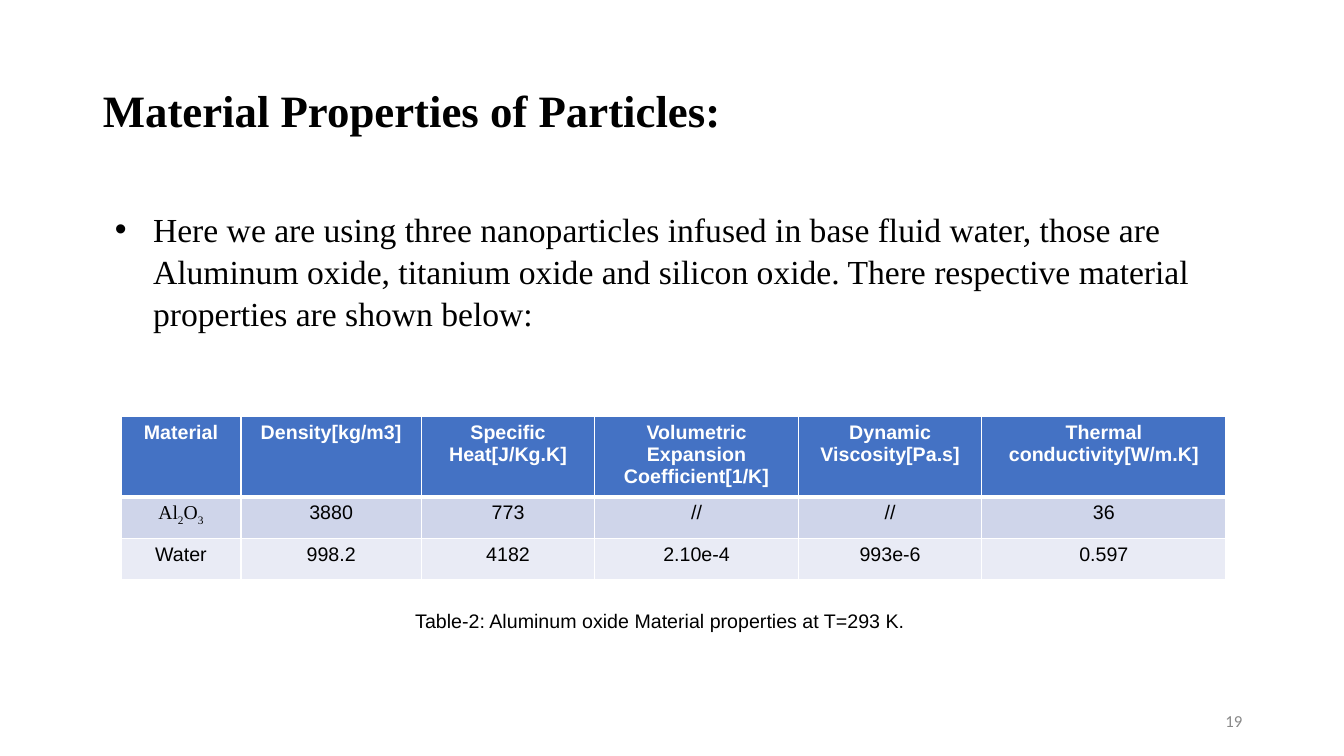
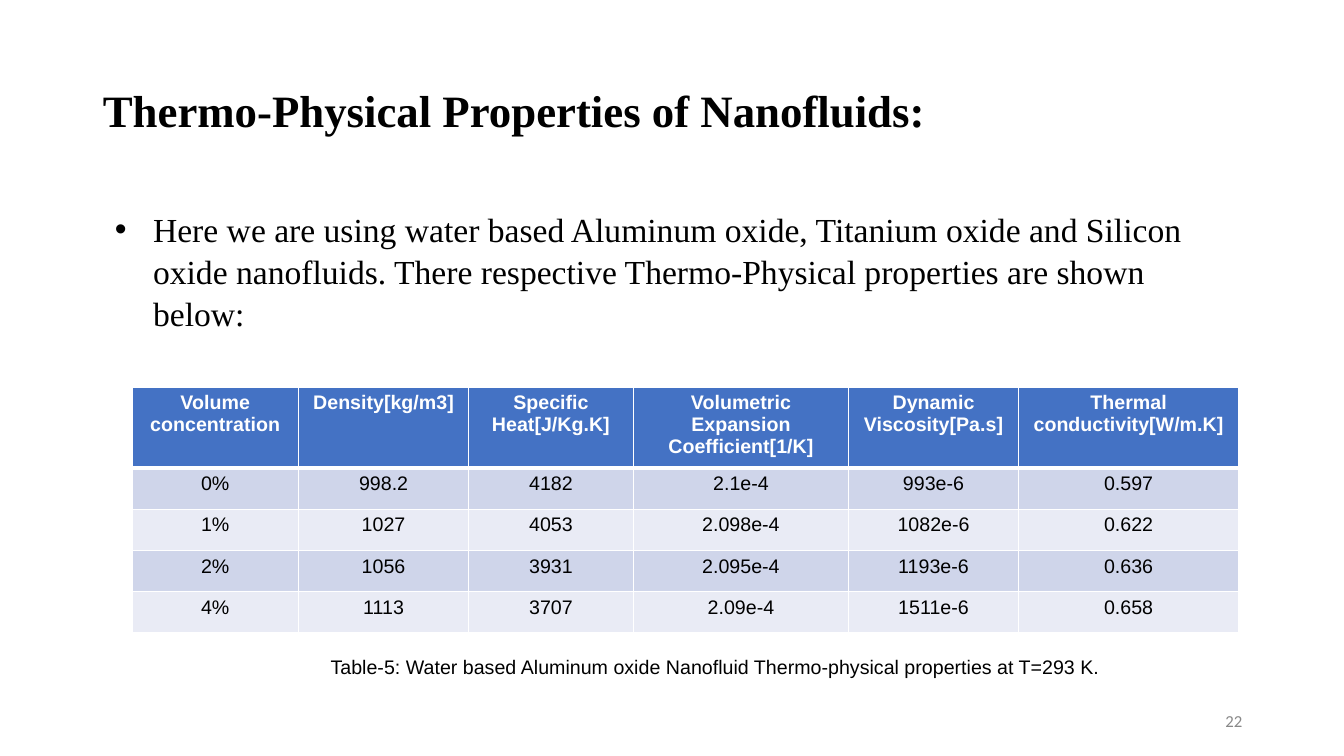
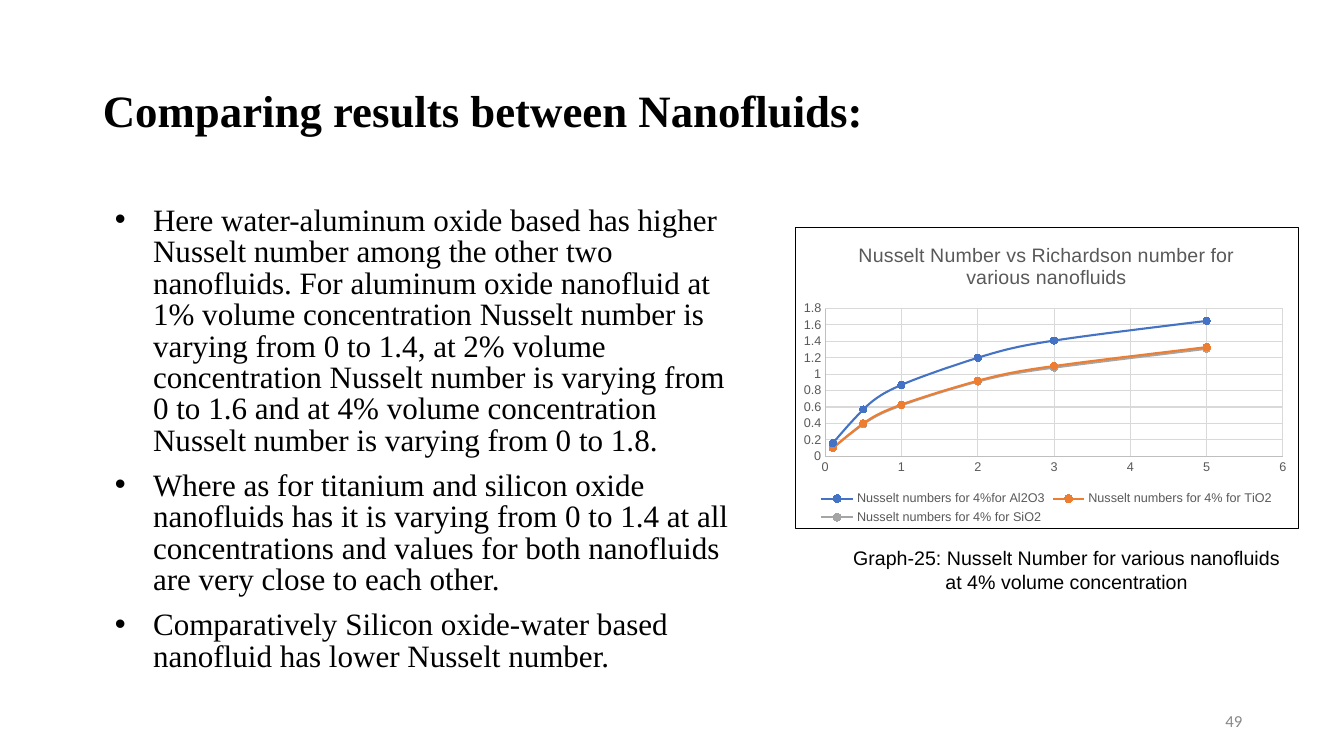
from lxml.etree import SubElement
from pptx import Presentation
from pptx.chart.data import XyChartData
from pptx.dml.color import RGBColor
from pptx.enum.chart import XL_CHART_TYPE, XL_LEGEND_POSITION, XL_MARKER_STYLE, XL_TICK_MARK
from pptx.enum.text import MSO_ANCHOR, MSO_AUTO_SIZE, PP_ALIGN
from pptx.oxml import parse_xml
from pptx.oxml.ns import nsdecls, qn
from pptx.util import Inches, Pt

SERIF, SANS = "Times New Roman", "Arial"
BLACK, WHITE, GRAY = "000000", "FFFFFF", "595959"
BLUE, ORANGE, SILVER = "4472C4", "ED7D31", "A5A5A5"
BANDS = ["CFD5EA", "E9EBF5"]

TITLE = {"name": SERIF, "size": Pt(32), "bold": True, "color": BLACK}
BODY = {"name": SERIF, "size": Pt(24), "color": BLACK}
CAPTION = {"name": SANS, "size": Pt(14), "color": BLACK}
HEADER = {**CAPTION, "bold": True, "color": WHITE}
FORMULA = {**CAPTION, "name": SERIF}
NUMBER = {"name": "Calibri", "size": Pt(12), "color": "888888"}
AXIS = {"name": SANS, "size": Pt(9), "color": GRAY}
CHART_TITLE = {"name": SANS, "size": Pt(14), "bold": False, "color": GRAY}

PROPERTIES = ["Density[kg/m3]", "Specific Heat[J/Kg.K]",
              "Volumetric Expansion Coefficient[1/K]",
              "Dynamic Viscosity[Pa.s]", "Thermal conductivity[W/m.K]"]


def rgb(value):
    return RGBColor.from_string(value)


def apply(target, values):
    for name, value in values.items():
        if name == "color":
            target.color.rgb = rgb(value)
        else:
            setattr(target, name, value)


def draw_line(line, color, width):
    line.color.rgb = rgb(color)
    line.width = Pt(width)


def add_bullet(paragraph):
    properties = paragraph._p.get_or_add_pPr()
    properties.set("marL", str(Inches(0.5)))
    properties.set("indent", str(Inches(-0.38)))
    color = SubElement(properties, qn("a:buClr"))
    SubElement(color, qn("a:srgbClr"), val=BLACK)
    SubElement(properties, qn("a:buFont"), typeface=SANS)
    SubElement(properties, qn("a:buChar"), char="•")


def set_borders(cell, widths):
    properties = cell._tc.get_or_add_tcPr()
    for index, (side, width) in enumerate(widths.items()):
        border = parse_xml(
            f'<a:ln{side} {nsdecls("a")} w="{Pt(width)}"><a:solidFill>'
            f'<a:srgbClr val="{WHITE}"/></a:solidFill></a:ln{side}>')
        properties.insert(index, border)


class Deck:
    def __init__(self):
        self.presentation = Presentation()
        self.presentation.slide_width = Inches(13.33)
        self.presentation.slide_height = Inches(7.5)
        self.slide = None

    def start(self, title, number):
        layout = self.presentation.slide_layouts[5]
        self.slide = self.presentation.slides.add_slide(layout)
        shape = self.slide.shapes.title
        apply(shape, {"left": Inches(0.92), "top": Inches(0.4),
                      "width": Inches(11.5), "height": Inches(1.45)})
        apply(shape.text_frame, {"word_wrap": True, "auto_size": MSO_AUTO_SIZE.NONE,
                                 "vertical_anchor": MSO_ANCHOR.MIDDLE})
        paragraph = shape.text_frame.paragraphs[0]
        apply(paragraph, {"alignment": PP_ALIGN.LEFT, "line_spacing": 0.9})
        self.styled_run(paragraph, title, TITLE)
        self.text([number], (9.42, 6.95, 3, 0.4), NUMBER, PP_ALIGN.RIGHT, MSO_ANCHOR.MIDDLE)

    def styled_run(self, paragraph, text, style):
        run = paragraph.add_run()
        run.text = text
        apply(run.font, style)
        return run

    def text(self, texts, box, style, alignment=PP_ALIGN.LEFT, anchor=MSO_ANCHOR.TOP):
        shape = self.slide.shapes.add_textbox(*map(Inches, box))
        frame = shape.text_frame
        apply(frame, {"word_wrap": True, "vertical_anchor": anchor})
        for index, text in enumerate(texts):
            paragraph = frame.paragraphs[0] if index == 0 else frame.add_paragraph()
            paragraph.alignment = alignment
            self.styled_run(paragraph, text, style)
        return frame

    def bullets(self, texts, width=11.5, size=24, spacing=1.05):
        frame = self.text(texts, (0.92, 2, width, 4.76), {**BODY, "size": Pt(size)})
        for index, paragraph in enumerate(frame.paragraphs):
            add_bullet(paragraph)
            apply(paragraph, {"line_spacing": spacing, "space_before": Pt(10 if index else 0)})

    def table(self, rows, left, top, widths):
        frame = self.slide.shapes.add_table(
            len(rows), len(widths), Inches(left), Inches(top), Inches(sum(widths)),
            Inches(0.75 + 0.41 * (len(rows) - 1)))
        table = frame.table
        for column, width in zip(table.columns, widths):
            column.width = Inches(width)
        for row_index, values in enumerate(rows):
            table.rows[row_index].height = Inches(0.41 if row_index else 0.75)
            for column_index, value in enumerate(values):
                self.cell(table.cell(row_index, column_index), value, row_index)

    def cell(self, cell, value, row_index):
        cell.fill.solid()
        cell.fill.fore_color.rgb = rgb(BANDS[(row_index - 1) % 2] if row_index else BLUE)
        set_borders(cell, {"L": 1, "R": 1, "T": 3 if row_index == 1 else 1,
                           "B": 1 if row_index else 3})
        paragraph = cell.text_frame.paragraphs[0]
        paragraph.alignment = PP_ALIGN.CENTER
        if isinstance(value, str):
            self.styled_run(paragraph, value, CAPTION if row_index else HEADER)
            return
        for part in value:
            run = self.styled_run(paragraph, part, FORMULA)
            if part.isdigit():
                run._r.get_or_add_rPr().set("baseline", "-25000")

    def scatter(self, title, x_values, series_values, colors, box):
        data = XyChartData()
        for name, values in series_values.items():
            series = data.add_series(name)
            for x, y in zip(x_values, values):
                series.add_data_point(x, y)
        chart = self.slide.shapes.add_chart(
            XL_CHART_TYPE.XY_SCATTER_SMOOTH, *map(Inches, box), data).chart
        apply(chart.font, {"name": SANS, "size": Pt(10), "color": BLACK})
        chart.has_title = True
        self.styled_run(chart.chart_title.text_frame.paragraphs[0], title, CHART_TITLE)
        chart.chart_title.include_in_layout = False
        chart.has_legend = True
        apply(chart.legend, {"position": XL_LEGEND_POSITION.BOTTOM, "include_in_layout": False})
        apply(chart.legend.font, AXIS)
        for axis, maximum, unit in ((chart.category_axis, 6, 1), (chart.value_axis, 1.8, 0.2)):
            apply(axis, {"minimum_scale": 0, "maximum_scale": maximum, "major_unit": unit,
                         "has_major_gridlines": True, "major_tick_mark": XL_TICK_MARK.NONE,
                         "minor_tick_mark": XL_TICK_MARK.NONE})
            apply(axis.tick_labels.font, AXIS)
            draw_line(axis.format.line, "BFBFBF", 0.75)
            draw_line(axis.major_gridlines.format.line, "D9D9D9", 0.75)
        plot = chart.plots[0]
        plot.vary_by_categories = False
        for series, color in zip(plot.series, colors):
            draw_line(series.format.line, color, 1.5)
            apply(series.marker, {"style": XL_MARKER_STYLE.CIRCLE, "size": 5})
            series.marker.format.fill.solid()
            series.marker.format.fill.fore_color.rgb = rgb(color)
            draw_line(series.marker.format.line, color, 0.75)
        self.finish_chart(chart.element)

    def finish_chart(self, element):
        for smooth in element.iter(qn("c:smooth")):
            smooth.set("val", "1")
        area = element.find(".//" + qn("c:plotArea"))
        for layout in area.findall(qn("c:layout")):
            area.remove(layout)
        values = {"layoutTarget": "inner", "xMode": "edge", "yMode": "edge",
                  "x": 0.06, "y": 0.27, "w": 0.91, "h": 0.49}
        entries = "".join(f'<c:{name} val="{value}"/>' for name, value in values.items())
        area.insert(0, parse_xml(
            f'<c:layout {nsdecls("c")}><c:manualLayout>{entries}</c:manualLayout></c:layout>'))
        element.find(qn("c:chart")).addnext(parse_xml(
            f'<c:spPr {nsdecls("c", "a")}><a:solidFill><a:srgbClr val="{WHITE}"/></a:solidFill>'
            f'<a:ln w="{Pt(0.75)}"><a:solidFill><a:srgbClr val="{BLACK}"/></a:solidFill>'
            '</a:ln></c:spPr>'))


def main():
    deck = Deck()

    deck.start("Material Properties of Particles:", "19")
    deck.bullets(["Here we are using three nanoparticles infused in base fluid water, those are "
                  "Aluminum oxide, titanium oxide and silicon oxide. There respective material "
                  "properties are shown below:"])
    deck.table([["Material", *PROPERTIES],
                [("Al", "2", "O", "3"), "3880", "773", "//", "//", "36"],
                ["Water", "998.2", "4182", "2.10e-4", "993e-6", "0.597"]],
               1.2, 4.13, [1.19, 1.79, 1.72, 2.02, 1.82, 2.42])
    deck.text(["Table-2: Aluminum oxide Material properties at T=293 K."],
              (4.02, 5.99, 5.4, 0.34), CAPTION)

    deck.start("Thermo-Physical Properties of Nanofluids:", "22")
    deck.bullets(["Here we are using water based Aluminum oxide, Titanium oxide and Silicon oxide "
                  "nanofluids. There respective Thermo-Physical properties are shown below:"])
    deck.table([["Volume concentration", *PROPERTIES],
                ["0%", "998.2", "4182", "2.1e-4", "993e-6", "0.597"],
                ["1%", "1027", "4053", "2.098e-4", "1082e-6", "0.622"],
                ["2%", "1056", "3931", "2.095e-4", "1193e-6", "0.636"],
                ["4%", "1113", "3707", "2.09e-4", "1511e-6", "0.658"]],
               1.31, 3.84, [1.65, 1.69, 1.63, 2.14, 1.68, 2.19])
    deck.text(["Table-5: Water based Aluminum oxide Nanofluid Thermo-physical properties "
               "at T=293 K."], (3.18, 6.45, 8.22, 0.34), CAPTION)

    deck.start("Comparing results between Nanofluids:", "49")
    deck.bullets(["Here water-aluminum oxide based has higher Nusselt number among the other two "
                  "nanofluids. For aluminum oxide nanofluid at 1% volume concentration Nusselt "
                  "number is varying from 0 to 1.4, at 2% volume concentration Nusselt number is "
                  "varying from 0 to 1.6 and at 4% volume concentration Nusselt number is varying "
                  "from 0 to 1.8.",
                  "Where as for titanium and silicon oxide nanofluids has it is varying from 0 to "
                  "1.4 at all concentrations and values for both nanofluids are very close to each "
                  "other.",
                  "Comparatively Silicon oxide-water based nanofluid has lower Nusselt number."],
                 width=6.5, size=22.2, spacing=0.84)
    deck.scatter("Nusselt Number vs Richardson number for various nanofluids",
                 [0.1, 0.5, 1, 2, 3, 5],
                 {"Nusselt numbers for 4%for Al2O3": [0.16, 0.57, 0.87, 1.2, 1.41, 1.65],
                  "Nusselt numbers for 4% for TiO2": [0.1, 0.4, 0.63, 0.92, 1.1, 1.33],
                  "Nusselt numbers for 4% for SiO2": [0.1, 0.39, 0.62, 0.91, 1.08, 1.31]},
                 [BLUE, ORANGE, SILVER], (7.88, 2.25, 5, 3))
    deck.text(["Graph-25: Nusselt Number for various nanofluids at 4% volume concentration"],
              (8.28, 5.37, 4.6, 0.83), CAPTION, PP_ALIGN.CENTER)

    deck.presentation.save("out.pptx")


if __name__ == "__main__":
    main()
